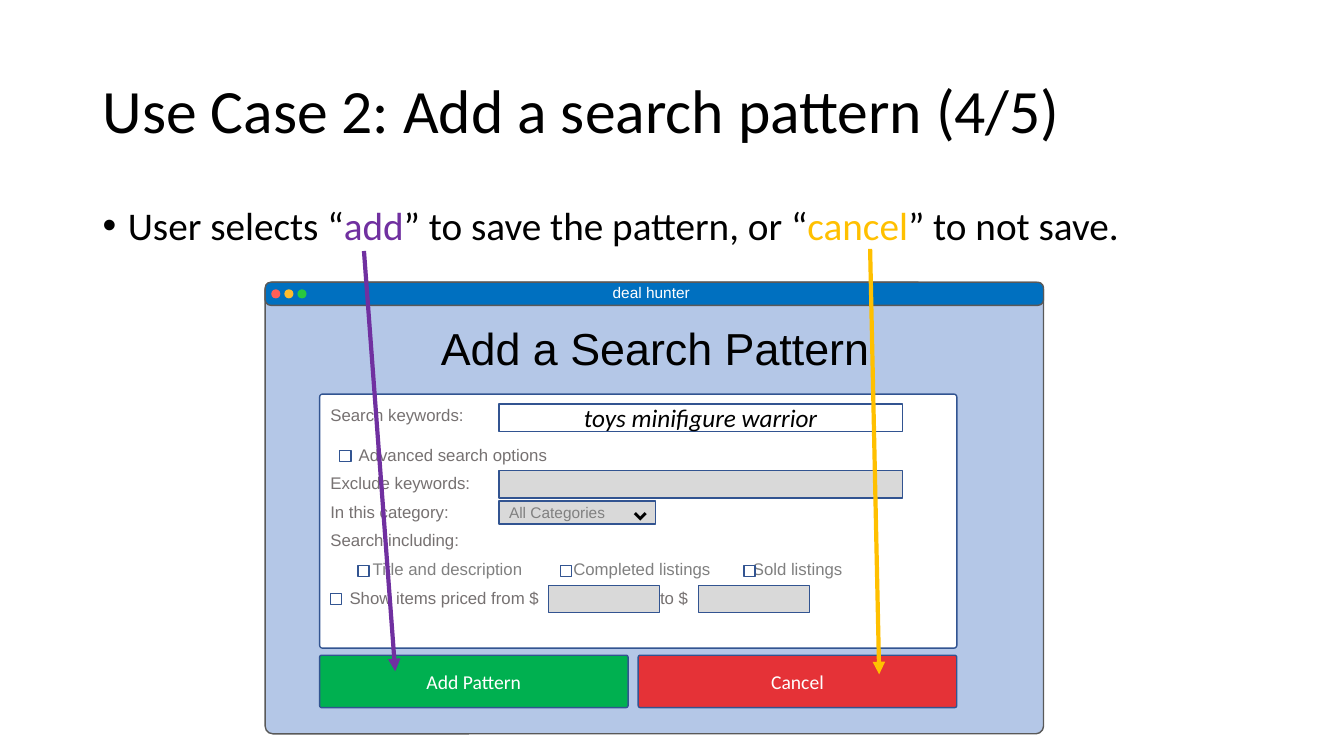
from lxml import etree
from pptx import Presentation
from pptx.dml.color import RGBColor
from pptx.enum.shapes import MSO_CONNECTOR, MSO_SHAPE
from pptx.enum.text import MSO_ANCHOR, PP_ALIGN
from pptx.oxml.ns import qn
from pptx.util import Inches, Pt

RECT = MSO_SHAPE.RECTANGLE
ROUND = MSO_SHAPE.ROUNDED_RECTANGLE
OVAL = MSO_SHAPE.OVAL
STRAIGHT = MSO_CONNECTOR.STRAIGHT
TOP, MIDDLE = MSO_ANCHOR.TOP, MSO_ANCHOR.MIDDLE
LEFT, CENTER = PP_ALIGN.LEFT, PP_ALIGN.CENTER

COLORS = {
    "black": "000000", "white": "FFFFFF", "purple": "7030A0", "amber": "FFC000",
    "window": "B4C7E7", "bar": "0070C0", "frame": "595959", "edge": "325491",
    "close": "FF5F57", "minimize": "FFBC2E", "zoom": "28C840",
    "green": "00B050", "red": "E53237", "field": "D9D9D9",
    "label": "767171", "option": "808080",
}


class PageBuilder:
    def __init__(self, page):
        self.page = page

    def color(self, name):
        return RGBColor.from_string(COLORS[name])

    def style(self, span, size, font, color, italic=False):
        span.font.size = Pt(size)
        span.font.name = font
        span.font.italic = italic
        span.font.color.rgb = self.color(color)

    def caption(self, box, text, size, font, color, align=LEFT, anchor=MIDDLE, italic=False):
        frame = box.text_frame
        frame.text = text
        frame.vertical_anchor = anchor
        para = frame.paragraphs[0]
        para.alignment = align
        self.style(para.runs[0], size, font, color, italic)
        return para

    def text(self, left, top, width, height, wrap=False):
        box = self.page.shapes.add_textbox(
            Inches(left), Inches(top), Inches(width), Inches(height))
        box.text_frame.word_wrap = wrap
        return box

    def shape(self, kind, left, top, width, height, fill, line="edge", corner=None):
        box = self.page.shapes.add_shape(
            kind, Inches(left), Inches(top), Inches(width), Inches(height))
        box.shadow.inherit = False
        box.fill.solid()
        box.fill.fore_color.rgb = self.color(fill)
        if line:
            box.line.color.rgb = self.color(line)
            box.line.width = Pt(1)
        else:
            box.line.fill.background()
        if corner is not None:
            box.adjustments[0] = corner
        return box

    def tabs(self, para, stops):
        tab_list = etree.SubElement(para._p.get_or_add_pPr(), qn("a:tabLst"))
        for stop in stops:
            etree.SubElement(tab_list, qn("a:tab"), pos=str(Inches(stop)), algn="l")

    def bullet(self, para, indent):
        props = para._p.get_or_add_pPr()
        props.set("marL", str(Inches(indent)))
        props.set("indent", str(-Inches(indent)))
        etree.SubElement(props, qn("a:buFont"), typeface="Arial")
        etree.SubElement(props, qn("a:buChar"), char="•")

    def arrow(self, start, end, color):
        line = self.page.shapes.add_connector(
            STRAIGHT, *(Inches(value) for value in start + end))
        line.line.color.rgb = self.color(color)
        line.line.width = Pt(3)
        props = line._element.spPr
        etree.SubElement(props.find(qn("a:ln")), qn("a:tailEnd"), type="triangle")
        etree.SubElement(props, qn("a:effectLst"))


def add_heading(builder):
    title = builder.text(0.92, 0.4, 11.5, 1.45, wrap=True)
    para = builder.caption(title, "Use Case 2: Add a search pattern (4/5)", 44, "Calibri", "black")
    para.line_spacing = 0.9

    body = builder.text(0.92, 2, 10.67, 4.76, wrap=True)
    para = body.text_frame.paragraphs[0]
    para.line_spacing = 0.9
    builder.bullet(para, 0.25)
    for words, color in (("User selects “", "black"), ("add", "purple"),
                         ("” to save the pattern, or “", "black"),
                         ("cancel", "amber"), ("” to not save.", "black")):
        span = para.add_run()
        span.text = words
        builder.style(span, 28, "Calibri", color)


def add_window(builder):
    builder.shape(ROUND, 2.63, 2.8, 7.72, 4.48, "window", "frame", 0.017)
    builder.shape(ROUND, 2.63, 2.8, 7.72, 0.23, "bar", "frame", 0.248)
    for index, color in enumerate(("close", "minimize", "zoom")):
        builder.shape(OVAL, 2.69 + 0.13 * index, 2.87, 0.09, 0.09, color, None)
    builder.caption(builder.text(5.95, 2.76, 1.02, 0.29), "deal hunter",
                    11, "Arial", "white", CENTER, TOP)
    builder.caption(builder.text(4.25, 3.13, 4.5, 0.64), "Add a Search Pattern",
                    32, "Arial", "black", CENTER, TOP)
    for left, width, color, words in ((3.17, 3.06, "green", "Add Pattern"),
                                      (6.33, 3.16, "red", "Cancel")):
        button = builder.shape(ROUND, left, 6.5, width, 0.52, color, corner=0.038)
        builder.caption(button, words, 14, "Calibri", "white", CENTER)


def add_form(builder):
    panel = builder.shape(ROUND, 3.17, 3.91, 6.32, 2.52, "white", corner=0.011)
    frame = panel.text_frame
    frame.vertical_anchor = TOP
    frame.margin_top = Inches(0.1)
    rows = (
        ("Search keywords:", (), "label", 0),
        ("\tAdvanced search options", (0.28,), "label", 7.8),
        ("Exclude keywords:", (), "label", 0),
        ("In this category:", (), "label", 0),
        ("Search including:", (), "label", 0),
        ("\tTitle and description\tCompleted listings\tSold listings",
         (0.42, 2.41, 4.19), "option", 0),
        ("\tShow items priced from $\tto $", (0.19, 3.27), "label", 0),
    )
    frame.text = "\n".join(row[0] for row in rows)
    for para, (_, stops, color, before) in zip(frame.paragraphs, rows):
        para.alignment = LEFT
        if before:
            para.space_before = Pt(before)
        para.space_after = Pt(6)
        if stops:
            builder.tabs(para, stops)
        for span in para.runs:
            builder.style(span, 12, "Arial", color)

    keywords = builder.shape(RECT, 4.95, 4.01, 4, 0.27, "white")
    builder.caption(keywords, "toys minifigure warrior", 18, "Calibri", "black", CENTER, italic=True)
    builder.shape(RECT, 4.95, 4.67, 4, 0.27, "field")
    category = builder.shape(RECT, 4.95, 4.97, 1.55, 0.23, "field")
    builder.caption(category, "All Categories", 11, "Arial", "option")
    builder.caption(builder.text(6.16, 4.39, 0.41, 0.84), "˯", 44, "Calibri", "black", anchor=TOP)
    for left, top in ((3.37, 4.47), (3.55, 5.61), (5.56, 5.61), (7.38, 5.61), (3.28, 5.89)):
        builder.shape(RECT, left, top, 0.11, 0.11, "white")
    for left in (5.44, 6.93):
        builder.shape(RECT, left, 5.81, 1.1, 0.27, "field")


def main():
    deck = Presentation()
    deck.slide_width = Inches(13.33)
    deck.slide_height = Inches(7.5)
    builder = PageBuilder(deck.slides.add_slide(deck.slide_layouts[6]))
    add_heading(builder)
    add_window(builder)
    add_form(builder)
    builder.arrow((8.63, 2.47), (8.72, 6.69), "amber")
    builder.arrow((3.61, 2.49), (3.92, 6.66), "purple")
    deck.save("out.pptx")


if __name__ == "__main__":
    main()
